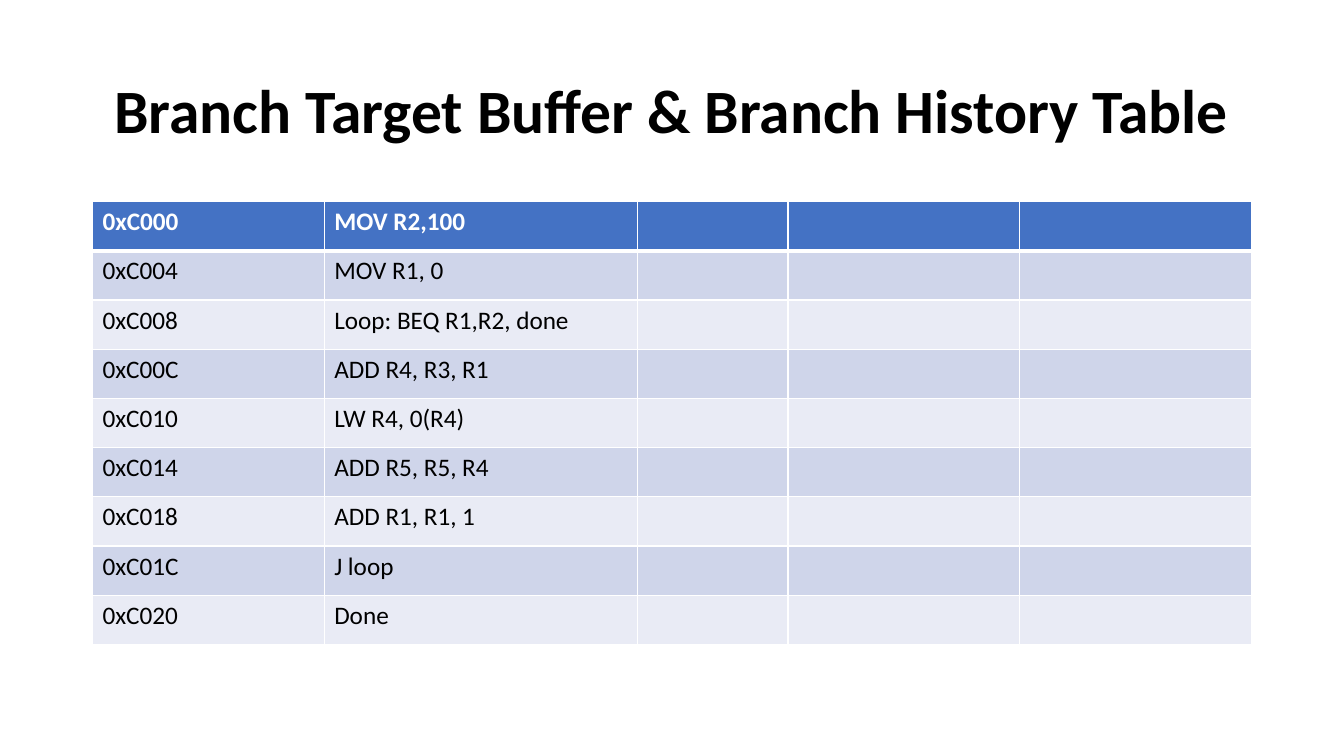
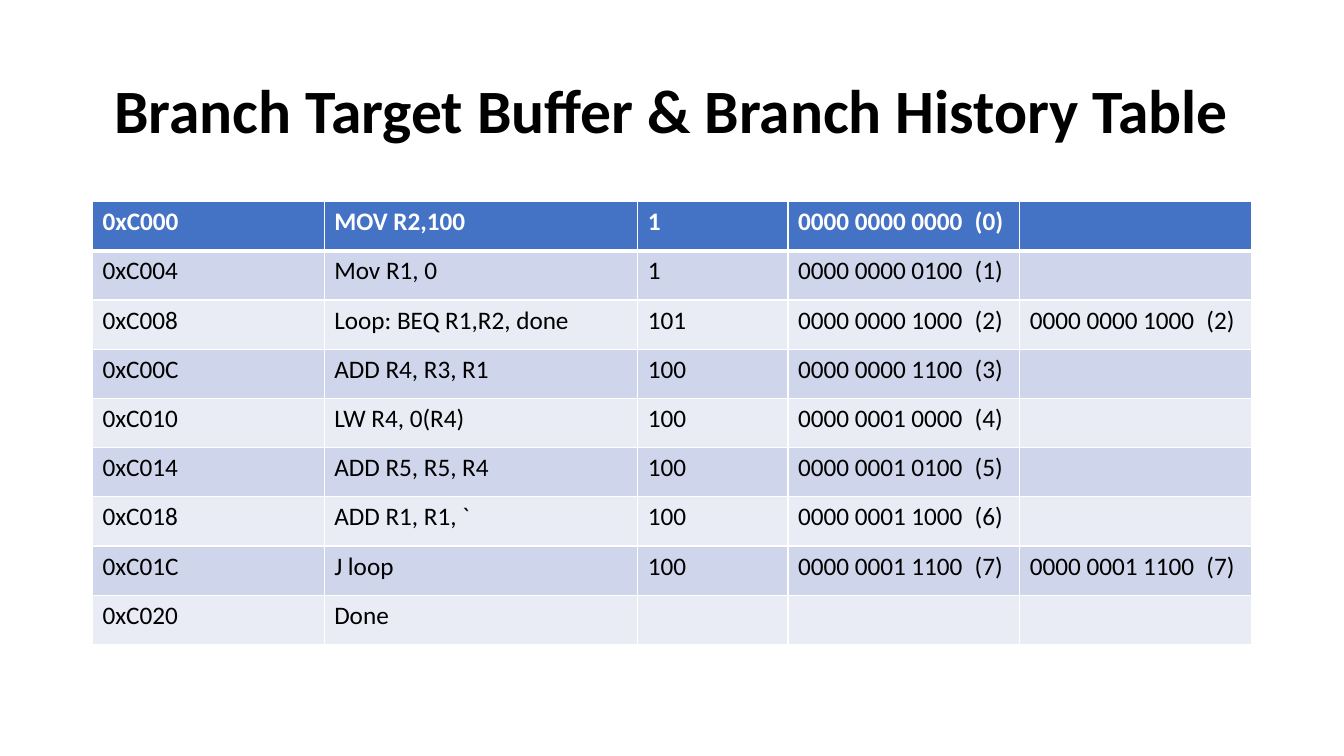
from lxml import etree
from pptx import Presentation
from pptx.dml.color import RGBColor
from pptx.enum.text import MSO_ANCHOR, MSO_AUTO_SIZE, PP_ALIGN
from pptx.oxml.ns import qn
from pptx.util import Cm, Pt

CENTER = PP_ALIGN.CENTER
MIDDLE = MSO_ANCHOR.MIDDLE
NO_FIT = MSO_AUTO_SIZE.NONE

TITLE = "Branch Target Buffer & Branch History Table"
CODE = ["MOV R2,100", "MOV R1, 0", "Loop: BEQ R1,R2, done",
        "ADD R4, R3, R1", "LW R4, 0(R4)", "ADD R5, R5, R4",
        "ADD R1, R1, 1", "J loop", "Done"]
EDITED = {1: "Mov R1, 0", 6: "ADD R1, R1, `"}
COUNTS = ["1", "1", "101", "100", "100", "100", "100", "100"]
BITS = ["0000 0000 0000\t(0)", "0000 0000 0100\t(1)",
        "0000 0000 1000\t(2)", "0000 0000 1100\t(3)",
        "0000 0001 0000\t(4)", "0000 0001 0100\t(5)",
        "0000 0001 1000\t(6)", "0000 0001 1100\t(7)"]
BRANCHES = (2, 7)


def color(code):
    return RGBColor.from_string(code)


class Deck:
    FONT = "Calibri"
    INK, PAPER = "000000", "FFFFFF"
    HEAD, BANDS = "4472C4", ("E9EBF5", "CFD5EA")
    LEFT, WIDTH = Cm(2.33), Cm(29.21)
    COLS = (5.84, 7.9, 3.79, 5.84, 5.84)
    ROW = Cm(1.24)
    TAB = Cm(4.45)

    def __init__(self):
        self.prs = Presentation()
        self.prs.slide_width, self.prs.slide_height = Cm(33.87), Cm(19.05)
        self.slide = None

    def add_slide(self, title):
        self.slide = self.prs.slides.add_slide(self.prs.slide_layouts[5])
        box = self.slide.shapes.title
        box.left, box.top = self.LEFT, Cm(1.01)
        box.width, box.height = self.WIDTH, Cm(3.68)
        frame = box.text_frame
        frame.text = title
        frame.word_wrap, frame.auto_size = True, NO_FIT
        frame.vertical_anchor = MIDDLE
        para = frame.paragraphs[0]
        para.alignment, para.line_spacing = CENTER, 0.9
        self.style(para, 44, self.INK, True)

    def style(self, para, size, ink, bold):
        for run in para.runs:
            font = run.font
            font.name, font.size, font.bold = self.FONT, Pt(size), bold
            font.color.rgb = color(ink)

    def add_table(self, rows):
        shape = self.slide.shapes.add_table(
            len(rows), len(self.COLS), self.LEFT, Cm(5.08),
            self.WIDTH, self.ROW * len(rows))
        table = shape.table
        for col, width in zip(table.columns, self.COLS):
            col.width = Cm(width)
        for i, row in enumerate(rows):
            table.rows[i].height = self.ROW
            for j, text in enumerate(row):
                self.fill_cell(table.cell(i, j), text, i)

    def fill_cell(self, cell, text, row):
        head = row == 0
        cell.fill.solid()
        cell.fill.fore_color.rgb = color(self.HEAD if head else self.BANDS[row % 2])
        self.add_edges(cell, top=3 if row == 1 else 1, bottom=3 if head else 1)
        if text:
            cell.text_frame.text = text
            para = cell.text_frame.paragraphs[0]
            if "\t" in text:
                self.add_tab(para)
            self.style(para, 18, self.PAPER if head else self.INK, head)

    def add_edges(self, cell, top, bottom):
        """Draw the four borders; the given widths are in points."""
        props = cell._tc.get_or_add_tcPr()
        edges = {"a:lnL": 1, "a:lnR": 1, "a:lnT": top, "a:lnB": bottom}
        for i, (tag, width) in enumerate(edges.items()):
            line = etree.Element(qn(tag), w=str(Pt(width)))
            fill = etree.SubElement(line, qn("a:solidFill"))
            etree.SubElement(fill, qn("a:srgbClr"), val=self.PAPER)
            props.insert(i, line)

    def add_tab(self, para):
        props = para._p.get_or_add_pPr()
        tabs = etree.SubElement(props, qn("a:tabLst"))
        etree.SubElement(tabs, qn("a:tab"), pos=str(self.TAB), algn="l")


def main():
    deck = Deck()
    steps = [(f"0x{0xC000 + 4 * i:X}", code) for i, code in enumerate(CODE)]

    deck.add_slide(TITLE)
    deck.add_table([(*step, "", "", "") for step in steps])

    rows = []
    for i, (place, code) in enumerate(steps):
        count, bits = (COUNTS[i], BITS[i]) if i < len(BITS) else ("", "")
        target = bits if i in BRANCHES else ""
        rows.append((place, EDITED.get(i, code), count, bits, target))
    deck.add_slide(TITLE)
    deck.add_table(rows)

    deck.prs.save("out.pptx")


if __name__ == "__main__":
    main()
